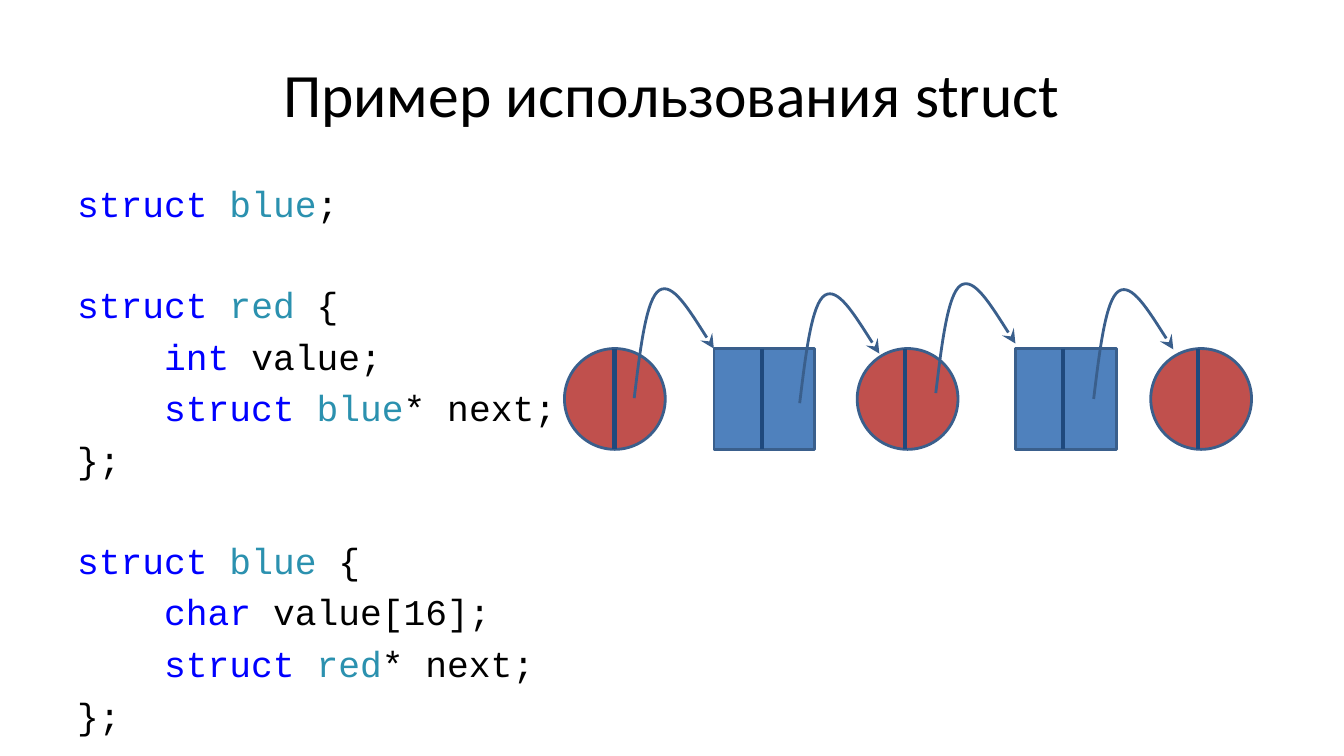
from lxml import etree
from pptx import Presentation
from pptx.dml.color import RGBColor
from pptx.enum.shapes import MSO_CONNECTOR, MSO_SHAPE
from pptx.enum.text import MSO_ANCHOR, PP_ALIGN
from pptx.oxml.ns import qn
from pptx.util import Emu, Pt

STRAIGHT = MSO_CONNECTOR.STRAIGHT
CIRCLE, SQUARE = MSO_SHAPE.OVAL, MSO_SHAPE.RECTANGLE
CENTER, MIDDLE, TOP = PP_ALIGN.CENTER, MSO_ANCHOR.MIDDLE, MSO_ANCHOR.TOP

COLORS = {
    "text": "000000", "keyword": "0000FF", "type": "2B91AF",
    "red": "C0504D", "blue": "4F81BD", "outline": "3A5F8C", "divider": "1F497D",
}

# Grid of 160 columns by 90 rows of square cells
COLUMNS, ROWS, CELL = 160, 90, 76200
NODE_SIZE, NODE_TOP = 12, 41.5
LINE_GAP, BLOCK_GAP = 5.8, 40.9

# Two Bezier pieces, in cells from the start of the arrow
ARROW_CURVE = [
    [(0.72, -5.9), (1.44, -11.9), (3, -12.85)],
    [(4.56, -13.8), (6.96, -9.85), (9.48, -5.9)],
]

# Shape, fill, left column, divider column
NODES = [
    (CIRCLE, "red", 67.2, 73.15),
    (SQUARE, "blue", 85, 90.7),
    (CIRCLE, "red", 102.05, 107.7),
    (SQUARE, "blue", 120.9, 126.55),
    (CIRCLE, "red", 137, 142.6),
]
ARROW_STARTS = [(75.5, 47.4), (95.2, 48), (111.4, 46.8), (130.2, 47.5)]

# Blocks of code lines; each line is a list of (text, color)
CODE = [
    [[("struct ", "keyword"), ("blue", "type"), (";", "text")]],
    [
        [("struct ", "keyword"), ("red", "type"), (" {", "text")],
        [("    ", "text"), ("int", "keyword"), (" value;", "text")],
        [("    ", "text"), ("struct ", "keyword"), ("blue", "type"), ("* next;", "text")],
        [("};", "text")],
    ],
    [
        [("struct ", "keyword"), ("blue", "type"), (" {", "text")],
        [("    ", "text"), ("char", "keyword"), (" value[16];", "text")],
        [("    ", "text"), ("struct ", "keyword"), ("red", "type"), ("* next;", "text")],
        [("};", "text")],
    ],
]


def cells(count):
    return Emu(round(count * CELL))


def color(name):
    return RGBColor.from_string(COLORS[name])


class Page:
    def __init__(self, deck):
        self.slide = deck.slides.add_slide(deck.slide_layouts[6])
        self.shapes = self.slide.shapes

    def stroke(self, line, name, width):
        line.color.rgb = color(name)
        line.width = Pt(width)

    def text_frame(self, left, top, width, height, anchor):
        box = self.shapes.add_textbox(*map(cells, (left, top, width, height)))
        frame = box.text_frame
        frame.word_wrap = True
        frame.vertical_anchor = anchor
        return frame

    def title(self, text):
        para = self.text_frame(8, 3.6, 144, 15, MIDDLE).paragraphs[0]
        para.text = text
        para.alignment = CENTER
        para.font.name, para.font.size = "Calibri", Pt(44)
        para.font.color.rgb = color("text")

    def code(self, blocks):
        frame = self.text_frame(8, 21, 144, 59.4, TOP)
        for block_index, block in enumerate(blocks):
            for line_index, line in enumerate(block):
                if block_index == line_index == 0:
                    para = frame.paragraphs[0]
                else:
                    para = frame.add_paragraph()
                    para.space_before = Pt(LINE_GAP if line_index else BLOCK_GAP)
                para.font.name, para.font.size = "Courier New", Pt(25.9)
                for text, name in line:
                    span = para.add_run()
                    span.text = text
                    span.font.color.rgb = color(name)

    def node(self, kind, fill, left):
        shape = self.shapes.add_shape(
            kind, cells(left), cells(NODE_TOP), cells(NODE_SIZE), cells(NODE_SIZE))
        shape.shadow.inherit = False
        shape.fill.solid()
        shape.fill.fore_color.rgb = color(fill)
        self.stroke(shape.line, "outline", 2)

    def divider(self, column):
        line = self.shapes.add_connector(
            STRAIGHT, cells(column), cells(NODE_TOP),
            cells(column), cells(NODE_TOP + NODE_SIZE))
        self.stroke(line.line, "divider", 3)
        etree.SubElement(line._element.spPr, qn("a:effectLst"))

    def arrow(self, left, top):
        units = 100
        ends = [(piece[-1][0] * units, piece[-1][1] * units) for piece in ARROW_CURVE]
        builder = self.shapes.build_freeform(0, 0, scale=CELL / units)
        builder.add_line_segments(ends, close=False)
        shape = builder.convert_to_shape(cells(left), cells(top))
        shape.shadow.inherit = False
        shape.fill.background()
        self.stroke(shape.line, "outline", 2)
        etree.SubElement(shape.line._get_or_add_ln(), qn("a:tailEnd"),
                         type="stealth", w="lg", len="lg")

        # Bend each straight segment into a Bezier curve
        peak = min(y for _, y in ends)
        segments = list(shape._element.iter(qn("a:lnTo")))
        for segment, piece in zip(segments, ARROW_CURVE):
            curve = etree.Element(qn("a:cubicBezTo"))
            for x, y in piece:
                etree.SubElement(curve, qn("a:pt"), x=str(round(x * units)),
                                 y=str(round(y * units - peak)))
            segment.getparent().replace(segment, curve)


def main():
    deck = Presentation()
    deck.slide_width, deck.slide_height = cells(COLUMNS), cells(ROWS)
    page = Page(deck)

    # Title and code
    page.title("Пример использования struct")
    page.code(CODE)

    # Linked list of alternating nodes
    for kind, fill, left, _ in NODES:
        page.node(kind, fill, left)
    for *_, column in NODES:
        page.divider(column)
    for left, top in ARROW_STARTS:
        page.arrow(left, top)

    deck.save("out.pptx")


if __name__ == "__main__":
    main()
